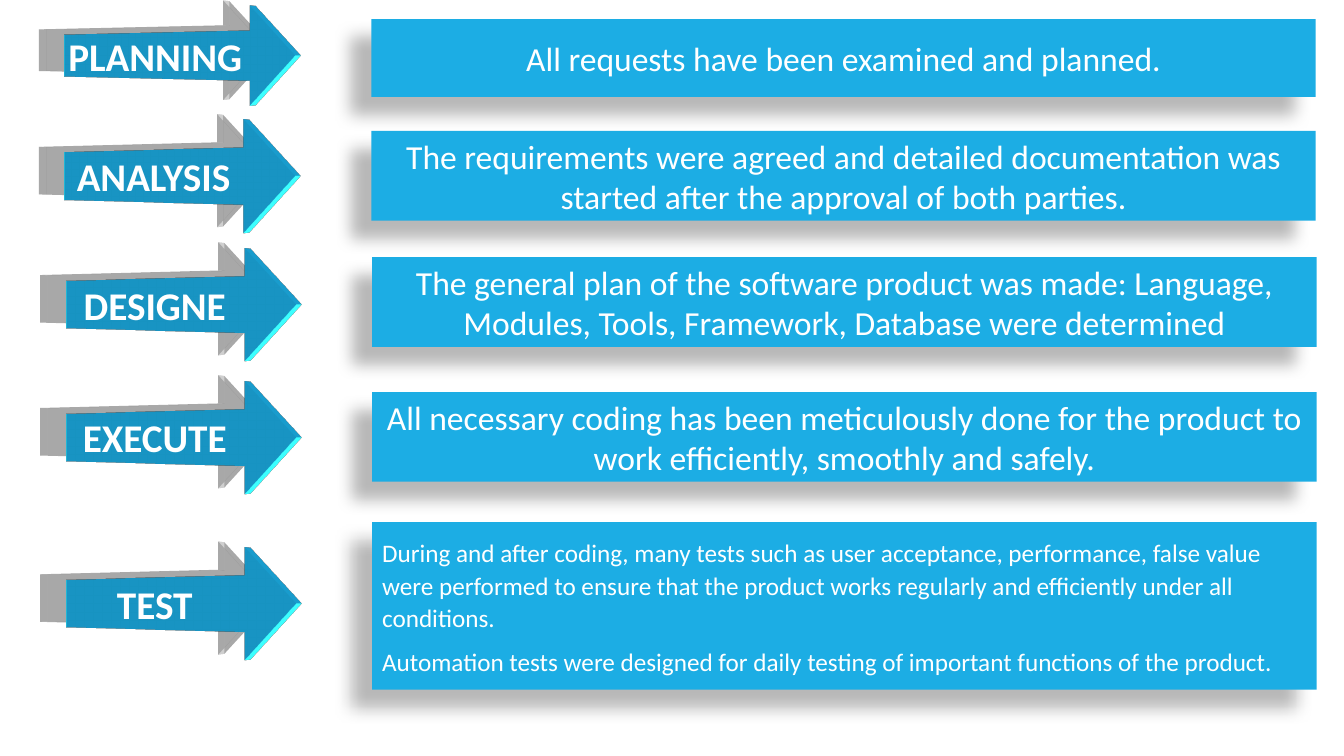
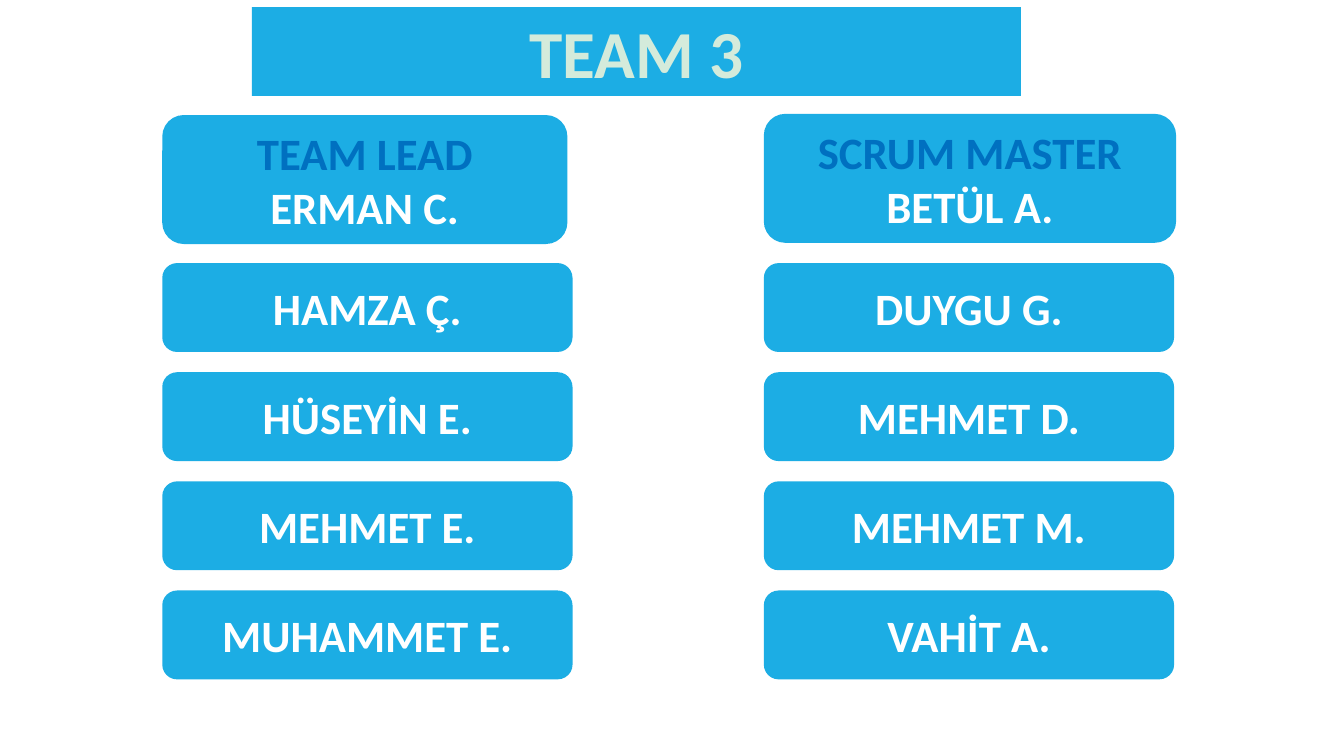
from dataclasses import dataclass
from typing import Any

from pptx import Presentation
from pptx import util as u
from pptx.dml.color import RGBColor
from pptx.enum import shapes, text
from pptx.oxml import parse_xml
from pptx.oxml.ns import nsdecls

Cm = u.Cm
MID = text.PP_ALIGN.CENTER
KIND = shapes.MSO_SHAPE


# Shared look
@dataclass(frozen=True)
class Theme:
    font: str = "Calibri"
    fill: str = "1CADE4"
    light: str = "FFFFFF"
    role: str = "0070C0"
    head: str = "D4EBDB"
    title: int = 48
    name: int = 32
    step: int = 28
    body: int = 24
    small: int = 18


@dataclass(frozen=True)
class Shade:
    alpha: int
    blur: float
    dist: float
    angle: int


@dataclass(frozen=True)
class Area:
    left: float
    top: float
    width: float
    height: float


@dataclass(frozen=True)
class Line:
    words: str
    size: int
    color: str
    bold: bool = True


@dataclass(frozen=True)
class Step:
    label: str
    arrow: Area
    box: Area
    notes: tuple[str, ...]
    small: bool = False


@dataclass(frozen=True)
class Team:
    left: float
    top: float
    width: float
    role: str
    lead: str
    names: tuple[str, ...]


THEME = Theme()
SOFT = Shade(28, 11.8, 19.7, 141)
DEEP = Shade(18, 14.5, 19, 192)

# Arrow turned in perspective, with a thin raised edge
TURN = (
    f'<a:scene3d {nsdecls("a")}>'
    '<a:camera prst="perspectiveFront" fov="5100000">'
    '<a:rot lat="0" lon="2100000" rev="0"/></a:camera>'
    '<a:lightRig rig="flood" dir="t">'
    '<a:rot lat="0" lon="0" rev="13800000"/></a:lightRig></a:scene3d>',
    f'<a:sp3d {nsdecls("a")} extrusionH="107950" prstMaterial="plastic">'
    '<a:bevelT w="82550" h="63500" prst="divot"/><a:bevelB/></a:sp3d>',
)

STEPS = (
    Step("PLANNING", Area(0.71, 0.25, 6.98, 2.31), Area(9.36, 0.48, 23.8, 1.96),
         ("All requests have been examined and planned.",)),
    Step("ANALYSIS", Area(0.71, 3.12, 6.98, 2.64), Area(9.36, 3.3, 23.8, 2.26),
         ("The requirements were agreed and detailed documentation was "
          "started after the approval of both parties.",)),
    Step("DESIGNE", Area(0.74, 6.35, 6.98, 2.64), Area(9.38, 6.48, 23.8, 2.26),
         ("The general plan of the software product was made: Language, "
          "Modules, Tools, Framework, Database were determined",)),
    Step("EXECUTE", Area(0.74, 9.7, 6.98, 2.64), Area(9.38, 9.88, 23.8, 2.26),
         ("All necessary coding has been meticulously done for the product to "
          "work efficiently, smoothly and safely.",)),
    Step("TEST", Area(0.74, 13.89, 6.98, 2.64), Area(9.38, 13.16, 23.8, 4.22),
         ("During and after coding, many tests such as user acceptance, "
          "performance, false value were performed to ensure that the product "
          "works regularly and efficiently under all conditions.",
          "Automation tests were designed for daily testing of important "
          "functions of the product."), True),
)

TEAMS = (
    Team(4.09, 2.9, 10.21, "TEAM LEAD", "ERMAN C.",
         ("HAMZA Ç.", "HÜSEYİN E.", "MEHMET E.", "MUHAMMET E.")),
    Team(19.25, 2.87, 10.39, "SCRUM MASTER", "BETÜL A.",
         ("DUYGU G.", "MEHMET D.", "MEHMET M.", "VAHİT A.")),
)


def apply(item: Any, form: dict[str, Any]) -> None:
    for key, val in form.items():
        setattr(item, key, val)


def write(shape: Any, lines: list[Line], form: dict[str, Any]) -> None:
    """Fill the shape with one paragraph per line."""
    frame = shape.text_frame
    apply(frame, {"word_wrap": True, "auto_size": text.MSO_AUTO_SIZE.NONE,
                  "vertical_anchor": text.MSO_ANCHOR.MIDDLE})
    for i, line in enumerate(lines):
        para = frame.add_paragraph() if i else frame.paragraphs[0]
        apply(para, form)
        run = para.add_run()
        run.text = line.words
        apply(run.font, {"name": THEME.font, "size": u.Pt(line.size),
                         "bold": line.bold})
        run.font.color.rgb = RGBColor.from_string(line.color)


def paint(shape: Any) -> None:
    shape.fill.solid()
    shape.fill.fore_color.rgb = RGBColor.from_string(THEME.fill)
    shape.line.fill.background()
    shape.shadow.inherit = False


def block(slide: Any, kind: Any, area: Area, lines: list[Line],
          form: dict[str, Any] | None = None) -> Any:
    shape = slide.shapes.add_shape(kind, Cm(area.left), Cm(area.top),
                                   Cm(area.width), Cm(area.height))
    paint(shape)
    write(shape, lines, form or {"alignment": MID})
    return shape


def shade(shape: Any, look: Shade) -> None:
    effect = shape._element.spPr.find(
        "{http://schemas.openxmlformats.org/drawingml/2006/main}effectLst")
    effect.append(parse_xml(
        f'<a:outerShdw {nsdecls("a")} blurRad="{int(u.Pt(look.blur))}" '
        f'dist="{int(u.Pt(look.dist))}" dir="{look.angle * 60000}" '
        'algn="ctr" rotWithShape="0"><a:srgbClr val="000000">'
        f'<a:alpha val="{look.alpha * 1000}"/></a:srgbClr></a:outerShdw>'))


# Slide 1: steps of the process
def draw_steps(deck: Any) -> None:
    slide = deck.slides.add_slide(deck.slide_layouts[6])
    dense = {"alignment": text.PP_ALIGN.LEFT, "line_spacing": 1.07,
             "space_after": u.Pt(8)}
    for step in STEPS:
        arrow = block(slide, KIND.RIGHT_ARROW, step.arrow,
                      [Line(step.label, THEME.step, THEME.light)])
        shade(arrow, DEEP)
        for part in TURN:
            arrow._element.spPr.append(parse_xml(part))
        size = THEME.small if step.small else THEME.body
        notes = [Line(note, size, THEME.light, False) for note in step.notes]
        box = block(slide, KIND.RECTANGLE, step.box, notes,
                    dense if step.small else None)
        shade(box, SOFT)


# Slide 2: team members in two columns
def draw_team(deck: Any) -> None:
    slide = deck.slides.add_slide(deck.slide_layouts[5])
    title = slide.shapes.title
    apply(title, {"left": Cm(6.35), "top": Cm(0.18),
                  "width": Cm(19.38), "height": Cm(2.24)})
    title._element.spPr.insert(1, parse_xml(
        f'<a:prstGeom {nsdecls("a")} prst="roundRect"><a:avLst/></a:prstGeom>'))
    paint(title)
    write(title, [Line("TEAM 3", THEME.title, THEME.head)], {"alignment": MID})

    first, pitch = 6.63, 2.75
    for team in TEAMS:
        block(slide, KIND.ROUNDED_RECTANGLE,
              Area(team.left, team.top, team.width, 3.25),
              [Line(team.role, THEME.name, THEME.role),
               Line(team.lead, THEME.name, THEME.light)])
        for i, name in enumerate(team.names):
            block(slide, KIND.ROUNDED_RECTANGLE,
                  Area(team.left, first + i * pitch, 10.34, 2.24),
                  [Line(name, THEME.name, THEME.light)])


def main() -> None:
    deck = Presentation()
    apply(deck, {"slide_width": Cm(33.87), "slide_height": Cm(19.05)})
    draw_steps(deck)
    draw_team(deck)
    deck.save("out.pptx")


if __name__ == "__main__":
    main()
